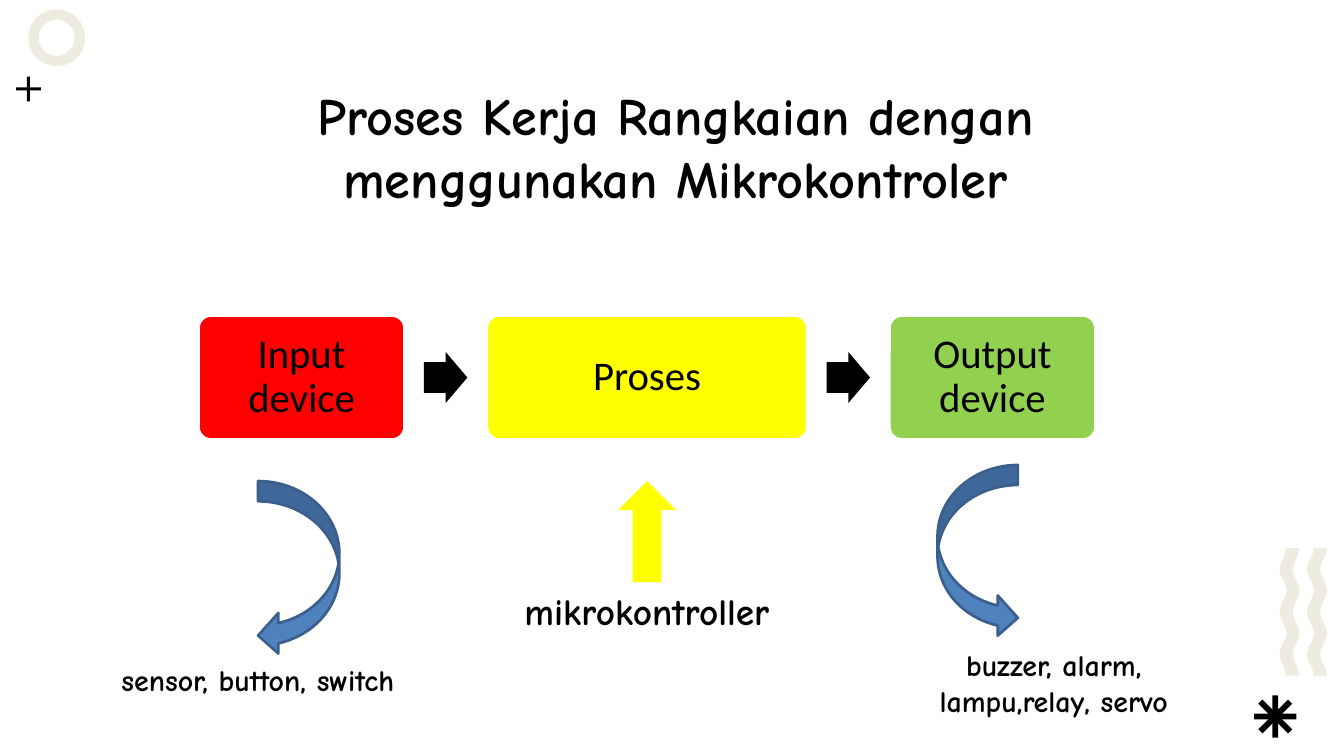
from dataclasses import dataclass
from math import cos, pi
from pptx import Presentation
from pptx.dml.color import RGBColor
from pptx.enum.shapes import MSO_SHAPE as Kind
from pptx.enum.text import MSO_ANCHOR, MSO_AUTO_SIZE, PP_ALIGN
from pptx.util import Inches, Pt


@dataclass(frozen=True)
class Theme:
    ink: str = "000000"
    paper: str = "FFFFFF"
    sand: str = "EEECE1"
    red: str = "FF0000"
    yellow: str = "FFFF00"
    green: str = "92D050"
    blue: str = "4F81BD"
    navy: str = "3A5F8C"
    hand: str = "Comic Neue"
    sans: str = "Calibri"
    head: float = 39.8
    block: float = 31
    label: float = 28.4
    note: float = 22.8
    edge: float = 2


def assign(target, values):
    for name, value in values.items():
        setattr(target, name, value)


class Board:
    """Draws on one slide; lengths are percent of its width and height."""

    def __init__(self, deck, theme):
        self.theme = theme
        self.wide, self.high = deck.slide_width, deck.slide_height
        self.slide = deck.slides.add_slide(deck.slide_layouts[5])

    def scale(self, box):
        left, top, width, height = box
        return (round(left * self.wide / 100), round(top * self.high / 100),
                round(width * self.wide / 100), round(height * self.high / 100))

    def paint(self, shape, fill, line=None):
        shape.shadow.inherit = False
        shape.fill.solid()
        shape.fill.fore_color.rgb = RGBColor.from_string(fill)
        if line:
            shape.line.color.rgb = RGBColor.from_string(line)
            shape.line.width = Pt(self.theme.edge)
        else:
            shape.line.fill.background()
        return shape

    def letter(self, shape, text, size, font, bold=False, space=1.0,
               inset=(0.1, 0.05), anchor=MSO_ANCHOR.TOP):
        """Put centred text into a shape."""
        side, end = map(Inches, inset)
        frame = shape.text_frame
        frame.text = text
        assign(frame, {
            "word_wrap": True, "auto_size": MSO_AUTO_SIZE.NONE,
            "vertical_anchor": anchor, "margin_left": side,
            "margin_right": side, "margin_top": end, "margin_bottom": end})
        para = frame.paragraphs[0]
        assign(para, {"alignment": PP_ALIGN.CENTER, "line_spacing": space})
        face = para.runs[0].font
        assign(face, {"name": font, "size": Pt(size), "bold": bold})
        face.color.rgb = RGBColor.from_string(self.theme.ink)

    def title(self, text, box):
        holder = self.slide.shapes.title
        names = ("left", "top", "width", "height")
        assign(holder, dict(zip(names, self.scale(box))))
        self.letter(holder, text, self.theme.head, self.theme.hand, True)

    def label(self, text, box, size):
        shape = self.slide.shapes.add_textbox(*self.scale(box))
        self.letter(shape, text, size, self.theme.hand, True)

    def shape(self, kind, box, fill, line=None, adjust=(), turn=0):
        shape = self.slide.shapes.add_shape(kind, *self.scale(box))
        for i, value in enumerate(adjust):
            shape.adjustments[i] = value
        shape.rotation = turn
        return self.paint(shape, fill, line)

    def block(self, text, box, fill):
        shape = self.shape(Kind.ROUNDED_RECTANGLE, box, fill,
                           self.theme.paper, (0.1,))
        self.letter(shape, text, self.theme.block, self.theme.sans, space=0.9,
                    inset=(0.17, 0.17), anchor=MSO_ANCHOR.MIDDLE)

    def bend(self, box, flip=False):
        shape = self.shape(Kind.CURVED_LEFT_ARROW, box, self.theme.blue,
                           self.theme.navy)
        if flip:
            shape._element.spPr.xfrm.set("flipH", "1")

    def wave(self, left, top, width, height, sway=0.25, turns=3, steps=60):
        """Vertical ribbon whose two sides follow the same cosine."""
        side = [(left + sway * cos(2 * pi * turns * i / steps),
                 top + height * i / steps) for i in range(steps + 1)]
        ring = side + [(x + width, y) for x, y in reversed(side)]
        spots = [self.scale((x, y, 0, 0))[:2] for x, y in ring]
        outline = self.slide.shapes.build_freeform(*spots[0])
        outline.add_line_segments(spots[1:], close=True)
        self.paint(outline.convert_to_shape(), self.theme.sand)


def decorate(board):
    theme = board.theme
    board.shape(Kind.DONUT, (2.11, 1.25, 4.22, 7.5), theme.sand, adjust=(0.18,))
    board.shape(Kind.CROSS, (1.2, 10.13, 1.85, 3.28), theme.ink, adjust=(0.44,))
    for turn in (0, 45):
        board.shape(Kind.CROSS, (93.32, 92, 3.13, 5.56), theme.ink,
                    adjust=(0.43,), turn=turn)
    for left in (95.46, 97.5):
        board.wave(left, 72.5, 0.98, 16.88)


def flow(board):
    """Three blocks in a row, with an arrow centred in each gap."""
    theme = board.theme
    left, top, high, gap = 14.77, 41.75, 16.38, 6.12
    wide, tall = 3.23, 6.75
    blocks = (("Input device", 15.33, theme.red),
              ("Proses", 23.84, theme.yellow),
              ("Output device", 15.33, theme.green))
    for i, (text, width, fill) in enumerate(blocks):
        if i:
            spot = (left - (gap + wide) / 2, top + (high - tall) / 2, wide, tall)
            board.shape(Kind.RIGHT_ARROW, spot, theme.ink, adjust=(0.6, 0.5))
        board.block(text, (left, top, width, high), fill)
        left += width + gap


def main():
    deck = Presentation()
    deck.slide_width, deck.slide_height = Inches(14.22), Inches(8)
    theme = Theme()
    board = Board(deck, theme)
    decorate(board)
    board.title("Proses Kerja Rangkaian dengan menggunakan Mikrokontroler",
                (12.52, 10.38, 75.53, 20.25))
    flow(board)
    board.label("mikrokontroller", (36.22, 77.13, 23.84, 7.63), theme.label)
    board.shape(Kind.UP_ARROW, (46, 63.63, 4.29, 13.38), theme.yellow)
    board.bend((19.2, 63.63, 6.05, 23.13))
    board.label("sensor, button, switch", (4.92, 86.88, 28.55, 7.63), theme.note)
    board.bend((69.76, 61.5, 5.98, 22.88), flip=True)
    board.label("buzzer, alarm, lampu,relay, servo",
                (65.54, 84.88, 25.74, 11.63), theme.note)
    deck.save("out.pptx")


if __name__ == "__main__":
    main()
